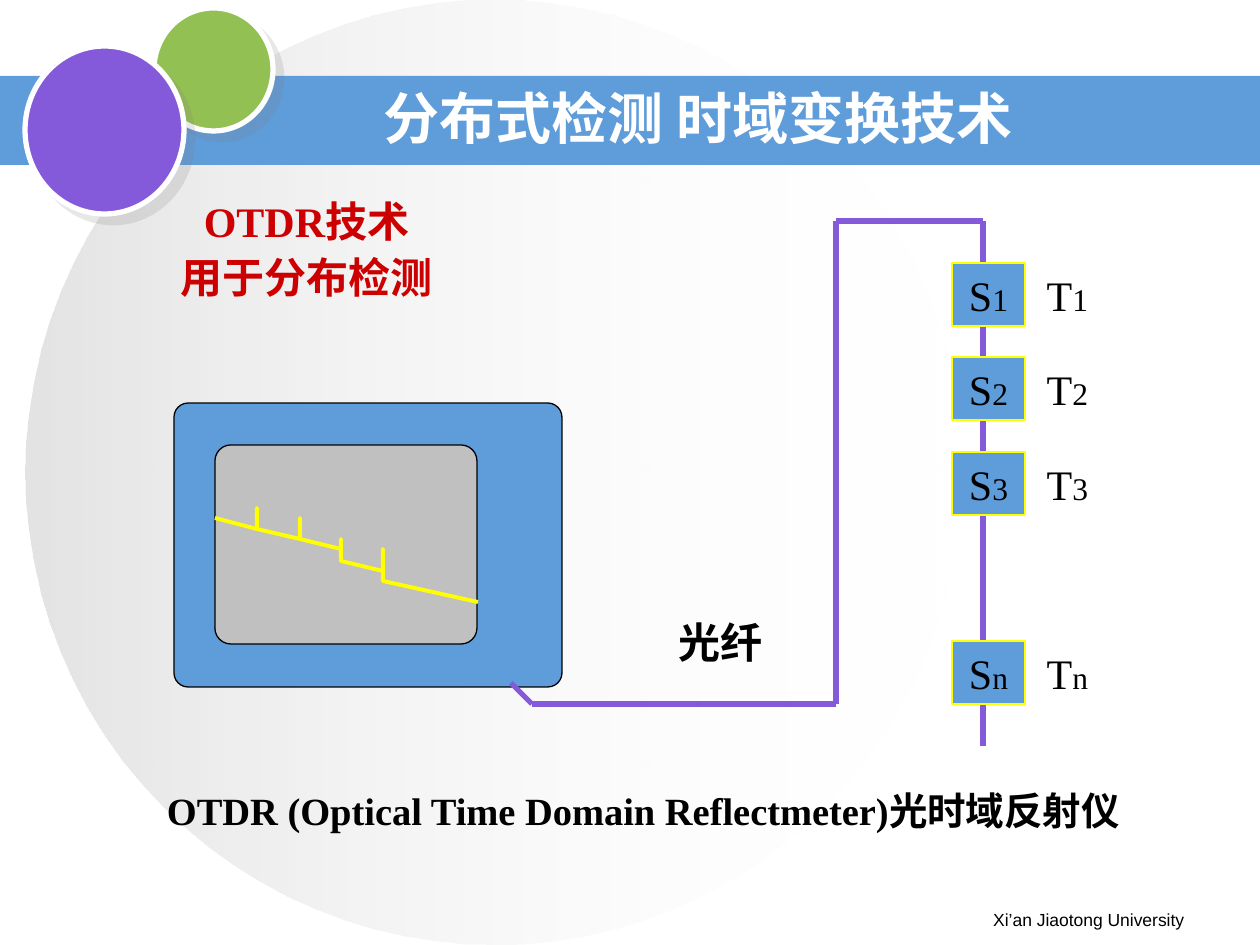
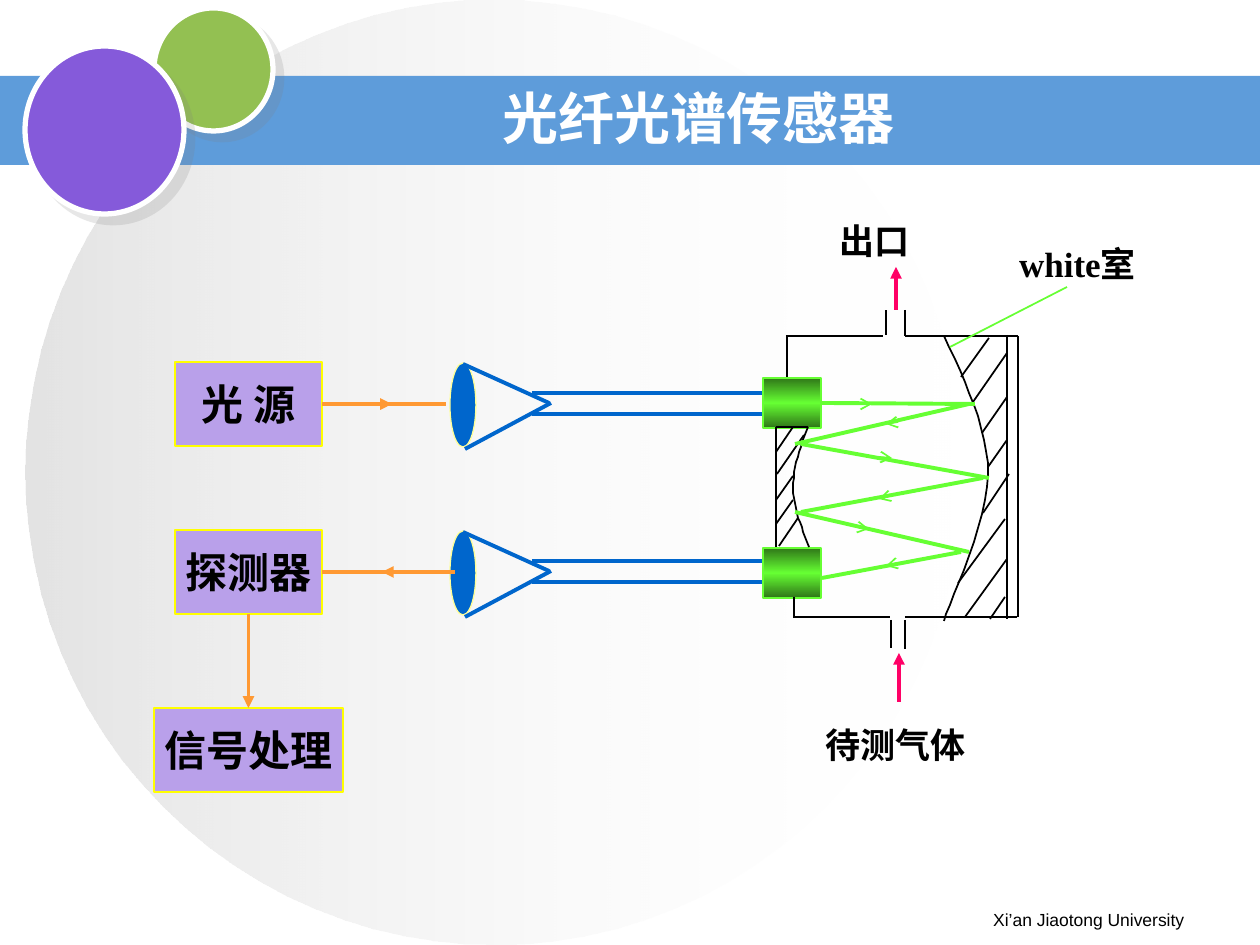
from pptx import Presentation
from pptx import util as u
from pptx.dml.color import RGBColor
from pptx.enum import shapes, text
from pptx.oxml import parse_xml
from pptx.oxml.ns import nsdecls, qn

PX = 914400 / 126
rgb = RGBColor.from_string
KIND, ALIGN = shapes.MSO_SHAPE, text.PP_ALIGN

BLACK, WHITE, YELLOW = "000000", "FFFFFF", "FFFF00"
BLUE, GREEN, PURPLE, LILAC = "5E9CDA", "93C052", "855ADA", "B9A0EA"
RED, GREY, FIBRE_BLUE = "CC0000", "C0C0C0", "0066CC"
ORANGE, PINK, RAY_GREEN, DARK_GREEN = "FF9933", "FF0066", "66FF33", "2F7618"
SERIF, SANS = "Times New Roman", "Arial"


def box(slide, kind, place, fill=None, line=None, width=1, words="", size=24, color=BLACK,
        font=SERIF, bold=True, align=ALIGN.CENTER, middle=True, wrap=False, inset=(0, 0)):
    """Shape, or text box when kind is None; a tuple fill is (angle, stop, ...)."""
    place = [u.Emu(round(v * PX)) for v in place]
    if kind is None:
        shape = slide.shapes.add_textbox(*place)
    else:
        shape = slide.shapes.add_shape(kind, *place)
        shape.shadow.inherit = False
        if isinstance(fill, tuple):
            angle, *stops = fill
            marks = "".join(
                f'<a:gs pos="{pos * 1000}"><a:srgbClr val="{tint}">'
                f'<a:alpha val="{alpha * 1000}"/></a:srgbClr></a:gs>' for pos, tint, alpha in stops)
            shape.fill.background()
            props = shape._element.spPr
            props.replace(props.find(qn("a:noFill")), parse_xml(
                f'<a:gradFill {nsdecls("a")} rotWithShape="1"><a:gsLst>{marks}</a:gsLst>'
                f'<a:lin ang="{angle * 60000}" scaled="0"/></a:gradFill>'))
        else:
            shape.fill.solid()
            shape.fill.fore_color.rgb = rgb(fill)
        if line:
            shape.line.color.rgb = rgb(line)
            shape.line.width = u.Pt(width)
        else:
            shape.line.fill.background()
    if words:
        frame = shape.text_frame
        frame.text = words
        frame.word_wrap = wrap
        frame.vertical_anchor = text.MSO_ANCHOR.MIDDLE if middle else text.MSO_ANCHOR.TOP
        frame.margin_left = frame.margin_right = round(inset[0] * PX)
        frame.margin_top = frame.margin_bottom = round(inset[1] * PX)
        for paragraph in frame.paragraphs:
            paragraph.alignment = align
            for run in paragraph.runs:
                run.font.size, run.font.name, run.font.bold = u.Pt(size), font, bold
                run.font.color.rgb = rgb(color)
    return shape


def segment(slide, ends, color, width, arrow=None):
    """Straight line from (x1, y1) to (x2, y2), with an optional arrowhead at its end."""
    link = slide.shapes.add_connector(
        shapes.MSO_CONNECTOR.STRAIGHT, *[u.Emu(round(v * PX)) for v in ends])
    link.line.color.rgb = rgb(color)
    link.line.width = u.Pt(width)
    if arrow:
        link.line._get_or_add_ln().append(
            parse_xml(f'<a:tailEnd {nsdecls("a")} type="{arrow}"/>'))
    link._element.spPr.append(parse_xml(f'<a:effectLst {nsdecls("a")}/>'))
    return link


deck = Presentation()
deck.slide_width, deck.slide_height = u.Inches(10), u.Inches(7.5)
slides = []

# Shared backdrop, band, circles, title and footer
for title in ("分布式检测 时域变换技术", "光纤光谱传感器"):
    slide = deck.slides.add_slide(deck.slide_layouts[6])
    slides.append(slide)
    box(slide, KIND.OVAL, (25, 0, 937, 945), (180, (0, WHITE, 0), (100, GREY, 44)))
    box(slide, KIND.RECTANGLE, (0, 76, 1260, 89), BLUE)
    for place, tint in (((154, 8, 119, 123), GREEN), ((25, 46, 159, 168), PURPLE)):
        circle = box(slide, KIND.OVAL, place, tint, WHITE, 3)
        circle._element.spPr.find(qn("a:effectLst")).append(parse_xml(
            f'<a:outerShdw {nsdecls("a")} dist="90170" dir="2700000" algn="ctr" rotWithShape="0">'
            '<a:srgbClr val="808080"><a:alpha val="19000"/></a:srgbClr></a:outerShdw>'))
    box(slide, None, (903, 903, 294, 34), words="Xi’an Jiaotong University", size=10, font=SANS,
        bold=False, align=ALIGN.RIGHT, middle=False, wrap=True, inset=(13, 6))
    box(slide, None, (284, 84, 829, 67), words=title, size=32, color=WHITE, font=SANS,
        wrap=True, inset=(13, 6))
otdr, spectrum = slides

# OTDR heading
heading = box(otdr, None, (144, 195, 325, 105), words="OTDR技术\n用于分布检测", color=RED,
              middle=False, wrap=True, inset=(13, 6))
for paragraph in heading.text_frame.paragraphs:
    paragraph.line_spacing = 0.9
heading.text_frame.paragraphs[1].space_before = u.Pt(6)

# Reflectometer and its trace
for place, tint, corner in (((174, 403, 388, 284), BLUE, 0.05), ((215, 445, 262, 199), GREY, 0.08)):
    panel = box(otdr, KIND.ROUNDED_RECTANGLE, place, tint, BLACK, 0.75)
    panel.adjustments[0] = corner
trace_points = [(215, 518), (257, 529), (257, 508), (257, 529), (300, 539), (300, 518), (300, 539),
                (341, 549), (341, 539), (341, 561), (383, 571), (383, 549), (383, 581), (478, 602)]
builder = otdr.shapes.build_freeform(*trace_points[0], scale=PX)
builder.add_line_segments(trace_points[1:], close=False)
trace = builder.convert_to_shape()
trace.shadow.inherit = False
trace.fill.background()
trace.line.color.rgb = rgb(YELLOW)
trace.line.width = u.Pt(2.25)

# Fibre from the reflectometer to the sensors
fibre_corners = [(511, 683), (532, 704), (836, 704), (836, 221), (983, 221), (983, 746)]
for start, end in zip(fibre_corners, fibre_corners[1:]):
    segment(otdr, start + end, PURPLE, 3)
box(otdr, None, (658, 610, 126, 63), words="光纤")

# Sensors S and temperatures T; the fourth position is left open
for position, index in ((0, "1"), (1, "2"), (2, "3"), (4, "n")):
    top = 263 + 189 * position // 2
    sensor = box(otdr, KIND.RECTANGLE, (952, top, 73, 63), BLUE, YELLOW, words="S", bold=False)
    temperature = box(otdr, None, (1036, top, 63, 63), words="T", bold=False)
    for label in (sensor, temperature):
        subscript = label.text_frame.paragraphs[0].add_run()
        subscript.text = index
        subscript.font.size, subscript.font.name = u.Pt(18), SERIF
        subscript.font.color.rgb = rgb(BLACK)

box(otdr, None, (154, 781, 1022, 59), words="OTDR (Optical Time Domain Reflectmeter)光时域反射仪",
    size=22, align=ALIGN.LEFT, middle=False, wrap=True, inset=(13, 6))

# Source, detector and signal processing
source, detector, processing = [
    box(spectrum, KIND.RECTANGLE, place, LILAC, YELLOW, words=words)
    for words, place in (("光 源", (175, 362, 147, 84)), ("探测器", (175, 530, 147, 84)),
                         ("信号处理", (154, 708, 189, 84)))]

# Lens, fibre pair and coupler of each light path
couplers = []
for axis, coupler_top in ((404, 378), (572, 548)):
    box(spectrum, KIND.OVAL, (450, axis - 41, 26, 84), FIBRE_BLUE, "FFFF99", 0.75)
    for ends in ((463, axis - 40, 549, axis - 1), (465, axis + 45, 551, axis - 1),
                 (532, axis - 11, 763, axis - 11), (532, axis + 10, 763, axis + 10)):
        segment(spectrum, ends, FIBRE_BLUE, 2.25)
    couplers.append(box(
        spectrum, KIND.RECTANGLE, (763, coupler_top, 58, 50),
        (90, (0, DARK_GREEN, 100), (50, RAY_GREEN, 100), (100, DARK_GREEN, 100)), RAY_GREEN))

# Chamber walls, mirror backs and hatching
chamber_walls = [
    (787, 377, 787, 337), (786, 336, 883, 336), (886, 335, 886, 310), (905, 310, 905, 336),
    (905, 336, 1018, 336), (1018, 336, 1018, 617), (1007, 335, 1007, 619), (905, 617, 1017, 617),
    (905, 620, 905, 649), (891, 620, 891, 648), (794, 617, 890, 617), (794, 597, 794, 618)]
left_mirror = [
    (776, 427, 776, 547), (776, 427, 808, 427), (793, 427, 776, 452), (804, 435, 777, 474),
    (793, 476, 776, 500), (793, 500, 776, 524), (798, 518, 779, 546)]
right_hatching = [
    (989, 338, 961, 377), (1007, 353, 973, 402), (1007, 397, 982, 433), (1007, 440, 988, 467),
    (1009, 474, 983, 513), (1005, 519, 958, 583), (1007, 559, 965, 617), (1005, 597, 990, 619)]
for ends in chamber_walls + left_mirror + right_hatching:
    segment(spectrum, ends, BLACK, 1)

# Mirror faces: two Bezier arcs each, sampled
STEPS = 12
for knots in (
        [(808, 427), (800, 447), (793, 467), (793, 488), (794, 508), (801, 527), (809, 547)],
        [(944, 336), (965, 382), (988, 427), (988, 475), (988, 522), (951, 596), (944, 621)]):
    face_points = []
    for arc in (knots[:4], knots[3:]):
        for step in range(1, STEPS + 1):
            t = step / STEPS
            weights = ((1 - t) ** 3, 3 * t * (1 - t) ** 2, 3 * t * t * (1 - t), t ** 3)
            face_points.append([sum(w * knot[axis] for w, knot in zip(weights, arc))
                                for axis in (0, 1)])
    builder = spectrum.shapes.build_freeform(*knots[0], scale=PX)
    builder.add_line_segments(face_points, close=False)
    face = builder.convert_to_shape()
    face.shadow.inherit = False
    face.fill.background()
    face.line.color.rgb = rgb(BLACK)
    face.line.width = u.Pt(1)

# Signal flow
to_processing = segment(spectrum, (248, 614, 248, 708), ORANGE, 2.25, "triangle")
to_processing.begin_connect(detector, 2)
to_processing.end_connect(processing, 0)
from_source = segment(spectrum, (322, 404, 392, 404), ORANGE, 2.25, "triangle")
from_source.begin_connect(source, 3)
segment(spectrum, (384, 404, 446, 404), ORANGE, 2.25)
segment(spectrum, (455, 572, 382, 572), ORANGE, 2.25, "triangle")
to_detector = segment(spectrum, (389, 572, 322, 572), ORANGE, 2.25)
to_detector.end_connect(detector, 3)

# Gas inlet and outlet
for ends in ((899, 702, 899, 653), (896, 310, 896, 267)):
    segment(spectrum, ends, PINK, 2.25, "triangle")

# Labels and the pointer to the white cell
segment(spectrum, (1067, 287, 950, 347), RAY_GREEN, 1)
for words, place in (("出口", (805, 214, 140, 63)), ("待测气体", (794, 718, 204, 62)),
                     ("white室", (1004, 236, 147, 55))):
    box(spectrum, None, place, words=words, size=20, middle=False, wrap=True, inset=(13, 6))

# Light rays folded between the mirrors, with direction marks
rays = [segment(spectrum, ends, RAY_GREEN, 2.25) for ends in (
    (821, 404, 975, 404), (969, 404, 795, 444), (801, 444, 989, 478),
    (983, 478, 801, 512), (795, 512, 969, 552), (961, 552, 822, 578))]
rays[0].begin_connect(couplers[0], 3)
for ends in ((859, 404, 872, 404), (898, 422, 886, 424), (879, 457, 892, 458),
             (886, 497, 879, 499), (863, 528, 869, 529), (898, 563, 886, 566)):
    segment(spectrum, ends, RAY_GREEN, 1, "arrow")

deck.save("out.pptx")
